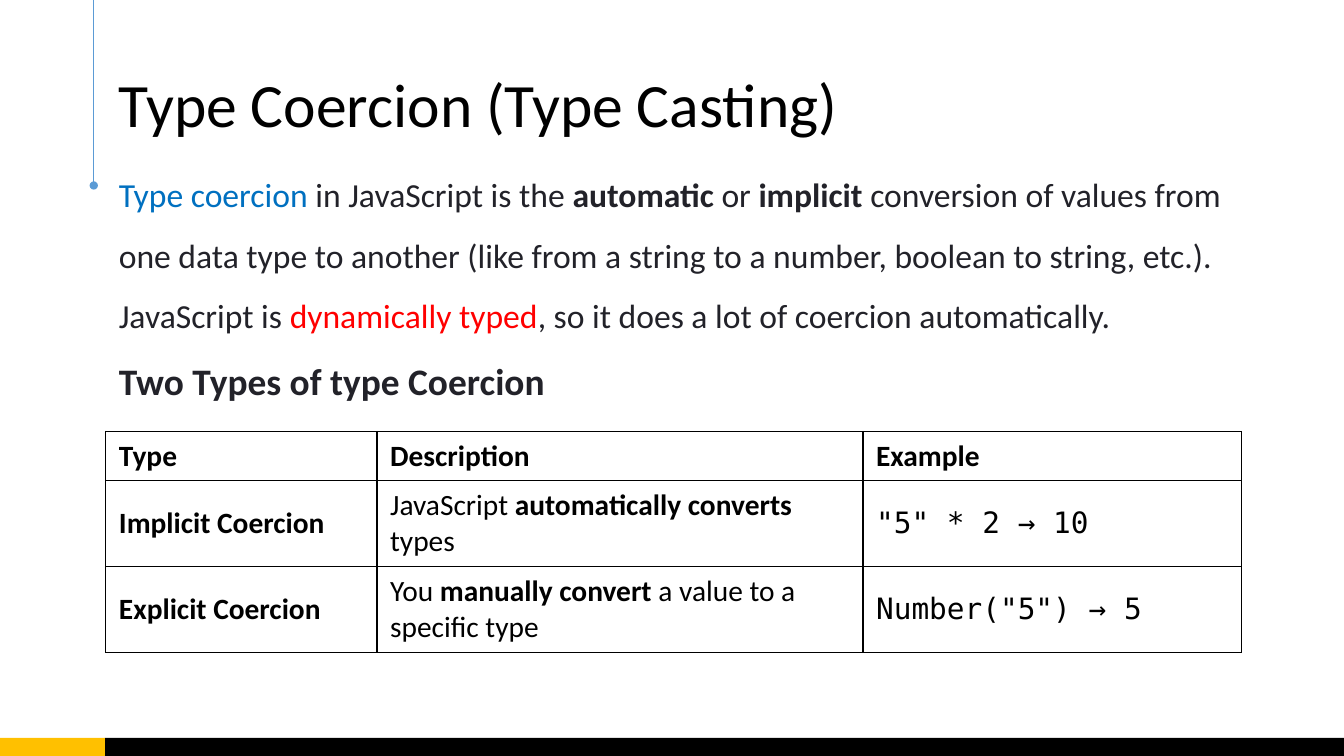
from dataclasses import dataclass

from lxml import etree
from pptx import Presentation
from pptx import util as u
from pptx.dml.color import RGBColor
from pptx.enum import shapes, text
from pptx.oxml import ns, parse_xml


@dataclass(frozen=True)
class Theme:
    black: str = "000000"
    gold: str = "FFC000"
    accent: str = "5B9BD5"
    body: str = "222229"
    blue: str = "0070C0"
    red: str = "FF0000"
    font: str = "Calibri"
    code_font: str = "DejaVu Sans Mono"
    title_size: float = 44
    body_size: float = 24
    heading_size: float = 26.7
    table_size: float = 21


THEME = Theme()

TITLE = "Type Coercion (Type Casting)"
# Each run is (text, bold, colour).
BODY = [
    [("Type coercion", False, THEME.blue),
     (" in JavaScript is the ", False, THEME.body),
     ("automatic", True, THEME.body),
     (" or ", False, THEME.body),
     ("implicit", True, THEME.body),
     (" conversion of values from one data type to another "
      "(like from a string to a number, boolean to string, etc.).", False, THEME.body)],
    [("JavaScript is ", False, THEME.body),
     ("dynamically typed", False, THEME.red),
     (", so it does a lot of coercion automatically.", False, THEME.body)],
]
HEADING = [("Two Types of type Coercion", True, THEME.body)]

HEADERS = ["Type", "Description", "Example"]
# Type, description as (text, bold) runs, example code.
COERCIONS = [
    ("Implicit Coercion",
     [("JavaScript ", False), ("automatically converts", True), (" types", False)],
     '"5" * 2 → 10'),
    ("Explicit Coercion",
     [("You ", False), ("manually convert", True), (" a value to a specific type", False)],
     'Number("5") → 5'),
]
COLUMN_WIDTHS = [2.69, 4.82, 3.75]
ROW_HEIGHTS = [0.49, 0.85, 0.85]


def add_runs(paragraph, runs, size, font=THEME.font):
    for words, bold, color in runs:
        run = paragraph.add_run()
        run.text = words
        run.font.name = font
        run.font.size = u.Pt(size)
        run.font.bold = bold
        run.font.color.rgb = RGBColor.from_string(color)


def add_text_frame(slide, left, top, width, height):
    box = slide.shapes.add_textbox(*map(u.Inches, (left, top, width, height)))
    box.text_frame.word_wrap = True
    return box.text_frame


def add_footer(slide, left, top, width, height):
    gold_width = 1.04
    bars = [(left + gold_width, width - gold_width, THEME.black),
            (left, gold_width, THEME.gold)]
    for bar_left, bar_width, color in bars:
        bar = slide.shapes.add_shape(
            shapes.MSO_SHAPE.RECTANGLE,
            *map(u.Inches, (bar_left, top, bar_width, height)))
        bar.shadow.inherit = False
        bar.fill.solid()
        bar.fill.fore_color.rgb = RGBColor.from_string(color)
        bar.line.fill.background()


def add_marker(slide, left, top, height):
    """Vertical line that ends in a dot."""
    marker = slide.shapes.add_connector(
        shapes.MSO_CONNECTOR.STRAIGHT,
        *map(u.Inches, (left, top, left, top + height)))
    marker.line.color.rgb = RGBColor.from_string(THEME.accent)
    marker.line.width = u.Pt(0.75)
    etree.SubElement(marker.line._get_or_add_ln(), ns.qn("a:tailEnd"), type="oval")
    etree.SubElement(marker._element.spPr, ns.qn("a:effectLst"))


def add_title(slide, left, top, width, height):
    frame = add_text_frame(slide, left, top, width, height)
    frame.margin_left = frame.margin_right = u.Inches(0.13)
    frame.margin_top = frame.margin_bottom = u.Inches(0.13)
    frame.vertical_anchor = text.MSO_ANCHOR.MIDDLE
    paragraph = frame.paragraphs[0]
    paragraph.line_spacing = 0.9
    add_runs(paragraph, [(TITLE, False, THEME.black)], THEME.title_size)


def add_body(slide, left, top, width, height):
    frame = add_text_frame(slide, left, top, width, height)
    entries = [(runs, THEME.body_size) for runs in BODY]
    entries.append((HEADING, THEME.heading_size))
    for index, (runs, size) in enumerate(entries):
        paragraph = frame.add_paragraph() if index else frame.paragraphs[0]
        paragraph.line_spacing = 1.5
        paragraph._p.get_or_add_pPr().set("marL", str(u.Inches(0.17)))
        add_runs(paragraph, runs, size)


def set_borders(cell):
    properties = cell._tc.get_or_add_tcPr()
    for index, side in enumerate(("lnL", "lnR", "lnT", "lnB")):
        properties.insert(index, parse_xml(
            f'<a:{side} {ns.nsdecls("a")} w="{u.Pt(1)}"><a:solidFill>'
            f'<a:srgbClr val="{THEME.black}"/></a:solidFill></a:{side}>'))


def fill_cell(cell, runs, font=THEME.font):
    cell.margin_left = cell.margin_right = u.Inches(0.13)
    cell.margin_top = cell.margin_bottom = u.Inches(0.07)
    cell.vertical_anchor = text.MSO_ANCHOR.MIDDLE
    cell.fill.background()
    set_borders(cell)
    colored = [(words, bold, THEME.black) for words, bold in runs]
    add_runs(cell.text_frame.paragraphs[0], colored, THEME.table_size, font)


def add_coercion_table(slide, left, top):
    table = slide.shapes.add_table(
        len(ROW_HEIGHTS), len(COLUMN_WIDTHS), u.Inches(left), u.Inches(top),
        u.Inches(sum(COLUMN_WIDTHS)), u.Inches(sum(ROW_HEIGHTS))).table
    table.first_row = table.horz_banding = False
    for column, width in zip(table.columns, COLUMN_WIDTHS):
        column.width = u.Inches(width)
    for row, height in zip(table.rows, ROW_HEIGHTS):
        row.height = u.Inches(height)

    for column, header in enumerate(HEADERS):
        fill_cell(table.cell(0, column), [(header, True)])
    for row, (kind, description, example) in enumerate(COERCIONS, start=1):
        fill_cell(table.cell(row, 0), [(kind, True)])
        fill_cell(table.cell(row, 1), description)
        fill_cell(table.cell(row, 2), [(example, False)], THEME.code_font)


def main():
    presentation = Presentation()
    presentation.slide_width = u.Inches(13.33)
    presentation.slide_height = u.Inches(7.5)
    slide = presentation.slides.add_slide(presentation.slide_layouts[6])
    add_footer(slide, 0, 7.32, 13.33, 0.18)
    add_marker(slide, 0.93, 0, 1.84)
    add_title(slide, 1.05, 0.65, 11.23, 0.84)
    add_body(slide, 0.91, 1.48, 11.68, 5.59)
    add_coercion_table(slide, 1.05, 4.28)
    presentation.save("out.pptx")


if __name__ == "__main__":
    main()
